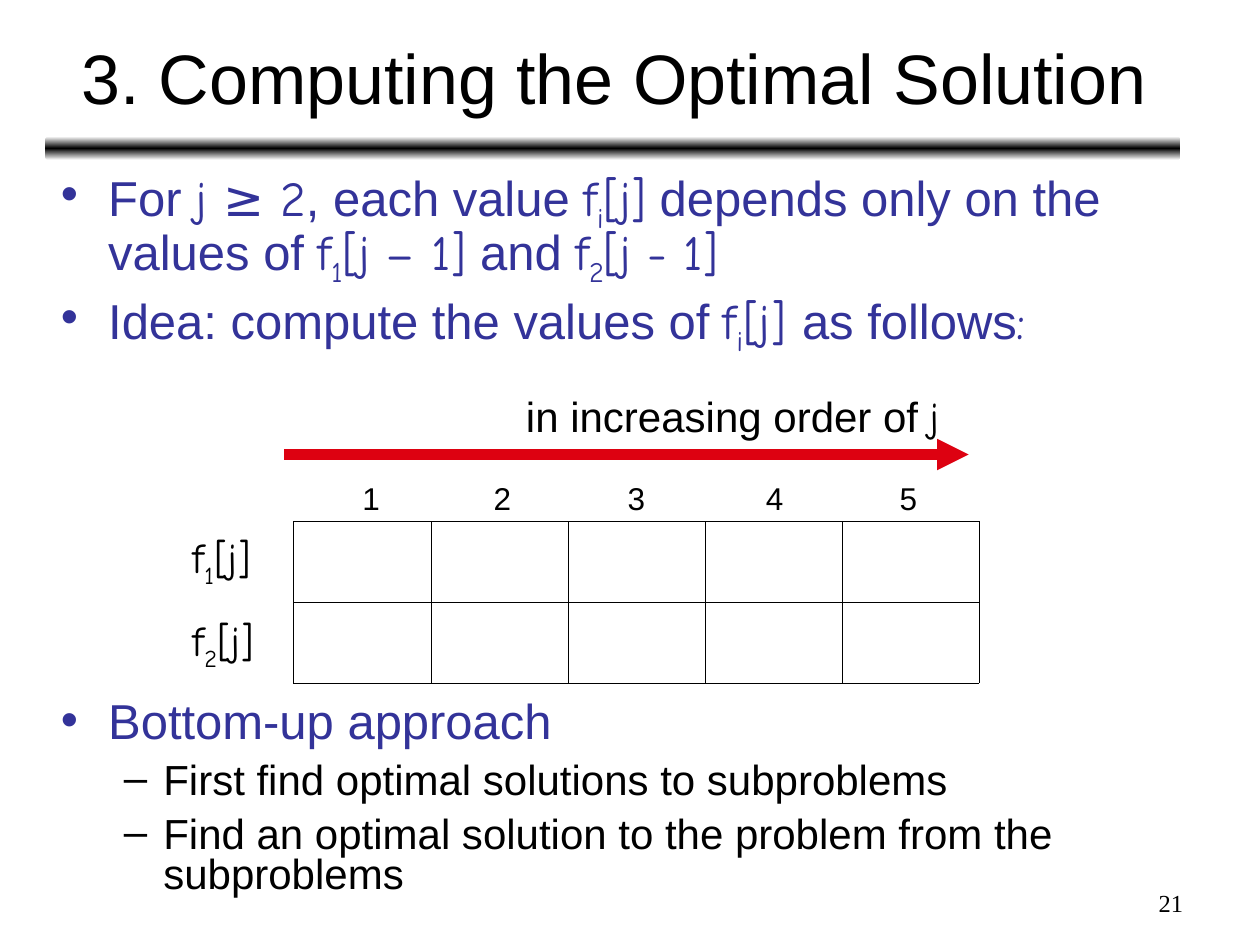
from copy import deepcopy
from typing import NamedTuple

from lxml.etree import SubElement
from pptx import Presentation
from pptx.dml.color import RGBColor
from pptx.enum.shapes import MSO_CONNECTOR, MSO_SHAPE
from pptx.enum.text import MSO_ANCHOR, MSO_AUTO_SIZE, PP_ALIGN
from pptx.oxml.ns import qn
from pptx.util import Pt

SANS, MATH = "Arial", "Comic Neue"
BLACK, WHITE, NAVY, RED = "000000", "FFFFFF", "333399", "DD0111"


class Box(NamedTuple):
    left: float
    top: float
    width: float
    height: float


class Span(NamedTuple):
    text: str
    font: str = SANS
    subscript: bool = False


class Level(NamedTuple):
    bullet: str
    size: float
    color: str
    margin: float
    indent: float
    before: float


class Item(NamedTuple):
    spans: list[Span]
    level: Level | None = None


class Label(NamedTuple):
    spans: list[Span]
    box: Box
    size: float


POINT = Level("•", 28, NAVY, 27, -27, 7.9)
SUBPOINT = Level("–", 24, BLACK, 58.5, -22.5, 6.9)


def rgb(color: str) -> RGBColor:
    return RGBColor.from_string(color)


def f_of(index: str, argument: str) -> list[Span]:
    """The term f with a subscript, followed by its bracketed argument."""
    return [Span("f", MATH), Span(index, MATH, True), Span(argument, MATH)]


def set_bullet(paragraph, level: Level) -> None:
    props = paragraph._p.get_or_add_pPr()
    props.set("marL", str(Pt(level.margin)))
    props.set("indent", str(Pt(level.indent)))
    bullet_color = SubElement(props, qn("a:buClr"))
    SubElement(bullet_color, qn("a:srgbClr")).set("val", level.color)
    SubElement(props, qn("a:buFont")).set("typeface", SANS)
    SubElement(props, qn("a:buChar")).set("char", level.bullet)
    paragraph.level = 0 if level is POINT else 1
    paragraph.line_spacing = 0.8


def add_text(slide, box: Box, items: list[Item], *, size: float = 24,
             color: str = BLACK, align=PP_ALIGN.LEFT, anchor=MSO_ANCHOR.TOP,
             wrap: bool = True) -> None:
    frame = slide.shapes.add_textbox(*map(Pt, box)).text_frame
    frame.word_wrap = wrap
    frame.auto_size = MSO_AUTO_SIZE.NONE if wrap else MSO_AUTO_SIZE.SHAPE_TO_FIT_TEXT
    frame.vertical_anchor = anchor
    for number, (spans, level) in enumerate(items):
        paragraph = frame.add_paragraph() if number else frame.paragraphs[0]
        paragraph.alignment = align
        if level:
            set_bullet(paragraph, level)
        paragraph.space_before = Pt(level.before if level and number else 0)
        paragraph.space_after = Pt(0.9)
        for span in spans:
            run = paragraph.add_run()
            run.text = span.text
            run.font.name = span.font
            run.font.size = Pt(level.size if level else size)
            run.font.color.rgb = rgb(level.color if level else color)
            if span.subscript:
                run.font._element.set("baseline", "-25000")


def add_rule(slide, box: Box) -> None:
    rule = slide.shapes.add_shape(MSO_SHAPE.ROUNDED_RECTANGLE, *map(Pt, box))
    rule.shadow.inherit = False
    rule.line.fill.background()
    rule.fill.gradient()
    rule.fill.gradient_angle = 90
    stop_list = rule._element.spPr.find(".//" + qn("a:gsLst"))
    stop_list.append(deepcopy(stop_list[0]))
    for number, (stop, color) in enumerate(
            zip(rule.fill.gradient_stops, (WHITE, BLACK, WHITE))):
        stop.position = number / 2
        stop.color.rgb = rgb(color)


def add_grid(slide, box: Box, rows: int, columns: int) -> None:
    table = slide.shapes.add_table(rows, columns, *map(Pt, box)).table
    table.first_row = table.horz_banding = False
    for column in table.columns:
        column.width = Pt(box.width / columns)
    for row in table.rows:
        row.height = Pt(box.height / rows)
    for cell in table.iter_cells():
        props = cell._tc.get_or_add_tcPr()
        for side in ("a:lnL", "a:lnR", "a:lnT", "a:lnB"):
            border = SubElement(props, qn(side), w=str(Pt(0.06)))
            fill = SubElement(border, qn("a:solidFill"))
            SubElement(fill, qn("a:srgbClr")).set("val", BLACK)
        cell.fill.background()


def add_arrow(slide, left: float, right: float, y: float) -> None:
    arrow = slide.shapes.add_connector(
        MSO_CONNECTOR.STRAIGHT, Pt(left), Pt(y), Pt(right), Pt(y))
    arrow.line.color.rgb = rgb(RED)
    arrow.line.width = Pt(6)
    SubElement(arrow.line._get_or_add_ln(), qn("a:tailEnd")).set("type", "triangle")
    SubElement(arrow._element.spPr, qn("a:effectLst"))


def main() -> None:
    deck = Presentation()
    deck.slide_width, deck.slide_height = Pt(720), Pt(540)
    slide = deck.slides.add_slide(deck.slide_layouts[6])

    # Title and rule
    add_rule(slide, Box(26, 78, 648.5, 13.5))
    add_text(slide, Box(26.75, 8, 648, 71),
             [Item([Span("3. Computing the Optimal Solution")])],
             size=40, align=PP_ALIGN.CENTER, anchor=MSO_ANCHOR.MIDDLE)

    # Dependence of the values, above the grid
    add_text(slide, Box(27.75, 95.75, 681, 110), [
        Item([Span("For "), Span("j ≥ 2", MATH), Span(", each value "),
              *f_of("i", "[j]"), Span(" depends only on the values of "),
              *f_of("1", "[j – 1]"), Span(" and "), *f_of("2", "[j - 1]")], POINT),
        Item([Span("Idea: compute the values of "), *f_of("i", "[j] "),
              Span("as follows"), Span(":", MATH)], POINT),
    ])

    # Approach, below the grid
    add_text(slide, Box(27.75, 397.75, 681, 131), [
        Item([Span("Bottom-up approach")], POINT),
        Item([Span("First find optimal solutions to subproblems")], SUBPOINT),
        Item([Span("Find an optimal solution to the problem from the subproblems")],
             SUBPOINT),
    ])

    # Grid with row and column labels, and the order of computation
    add_grid(slide, Box(167.75, 298, 392, 92.5), rows=2, columns=5)
    add_arrow(slide, 162.5, 553.5, 259.75)
    row_labels = [Label(f_of(str(row), "[j]"), Box(103, 252.75 + 47.5 * row, 54, 40), 24)
                  for row in (1, 2)]
    column_labels = [Label([Span(str(column))], Box(left, 270, 26, 29), 18)
                     for column, left in enumerate((200, 275, 351.5, 430.5, 507), 1)]
    order = Label([Span("in increasing order of "), Span("j", MATH)],
                  Box(293.5, 219.5, 260, 36), 24)
    for label in (*row_labels, *column_labels, order):
        add_text(slide, label.box, [Item(label.spans)], size=label.size, wrap=False)

    # Page number
    add_text(slide, Box(516.25, 504, 167, 24.5),
             [Item([Span("21", "Times New Roman")])], size=14, align=PP_ALIGN.RIGHT)

    deck.save("out.pptx")


if __name__ == "__main__":
    main()
